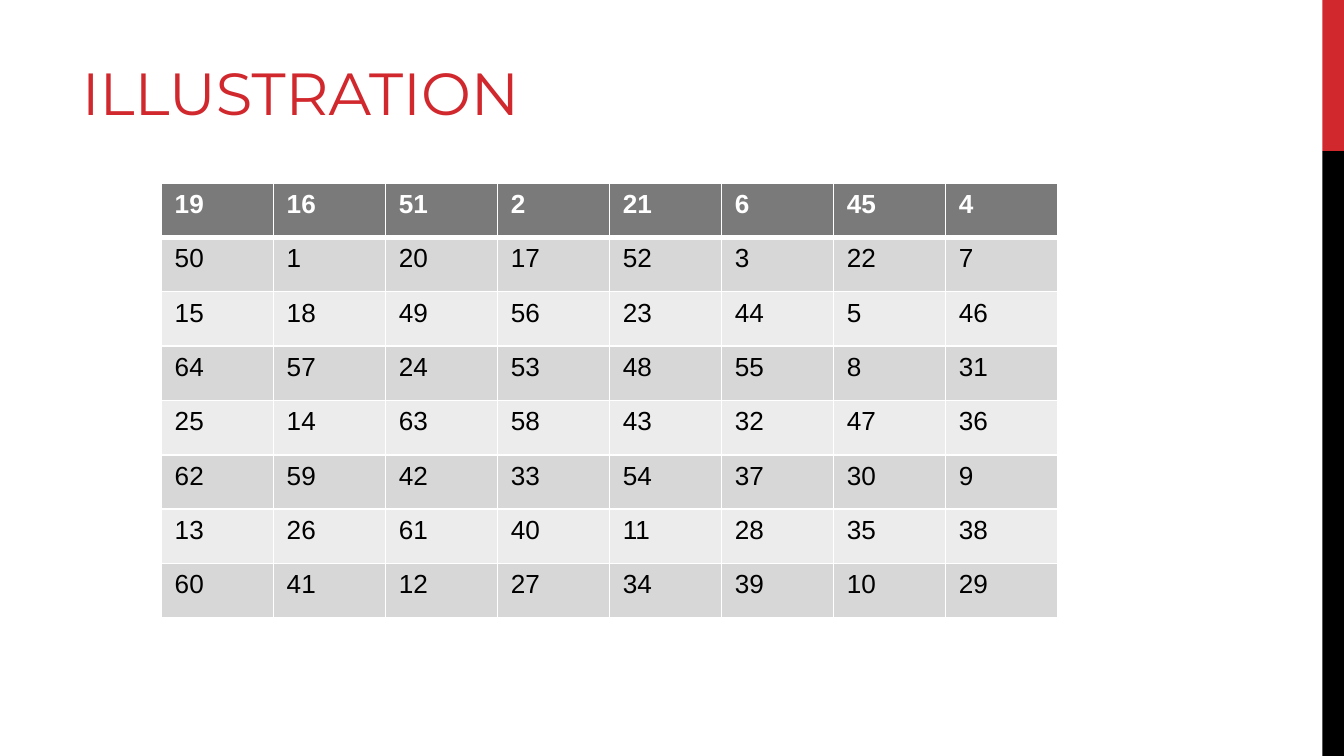
from lxml.etree import SubElement
from pptx import Presentation
from pptx.dml.color import RGBColor
from pptx.enum.shapes import MSO_SHAPE as Shape
from pptx.enum.text import MSO_ANCHOR as Anchor, PP_ALIGN as Align
from pptx.oxml.ns import qn
from pptx.util import Inches, Pt

RED = RGBColor(0xD1, 0x28, 0x2E)
BLACK = RGBColor(0, 0, 0)
WHITE = RGBColor(0xFF, 0xFF, 0xFF)
HEADER_GRAY = RGBColor(0x7A, 0x7A, 0x7A)
BAND_GRAYS = (RGBColor(0xEC, 0xEC, 0xEC), RGBColor(0xD7, 0xD7, 0xD7))

# A 16:9 slide, with the side bars split at one fifth of its height
SLIDE_WIDTH = 10
SLIDE_HEIGHT = SLIDE_WIDTH * 9 / 16
BAR_WIDTH = 0.16
BAR_SPLIT = SLIDE_HEIGHT / 5

BOARD = [
    [19, 16, 51, 2, 21, 6, 45, 4],
    [50, 1, 20, 17, 52, 3, 22, 7],
    [15, 18, 49, 56, 23, 44, 5, 46],
    [64, 57, 24, 53, 48, 55, 8, 31],
    [25, 14, 63, 58, 43, 32, 47, 36],
    [62, 59, 42, 33, 54, 37, 30, 9],
    [13, 26, 61, 40, 11, 28, 35, 38],
    [60, 41, 12, 27, 34, 39, 10, 29],
]


class SlideBuilder:
    title_font, body_font = "Montserrat", "Arial"
    title_size, body_size = Pt(31.8), Pt(14)
    thin, thick = Pt(1), Pt(3)

    def __init__(self, slide):
        self.slide = slide

    def style(self, paragraph, font, size, color, bold=False):
        paragraph.alignment = Align.LEFT
        for run in paragraph.runs:
            run.font.name, run.font.size, run.font.bold = font, size, bold
            run.font.color.rgb = color

    def bar(self, left, top, width, height, color):
        bar = self.slide.shapes.add_shape(
            Shape.RECTANGLE, *map(Inches, (left, top, width, height)))
        bar.shadow.inherit = False
        bar.fill.solid()
        bar.fill.fore_color.rgb = color
        bar.line.fill.background()

    def title(self, text, left, top, width, height):
        frame = self.slide.shapes.add_textbox(
            *map(Inches, (left, top, width, height))).text_frame
        frame.word_wrap = True
        frame.vertical_anchor = Anchor.MIDDLE
        frame.margin_left = frame.margin_right = Inches(0.1)
        frame.margin_top = frame.margin_bottom = Inches(0.1)
        frame.text = text
        self.style(frame.paragraphs[0], self.title_font, self.title_size, RED)

    def borders(self, cell, row):
        properties = cell._tc.get_or_add_tcPr()
        widths = {"L": self.thin, "R": self.thin,
                  "T": self.thick if row == 1 else self.thin,
                  "B": self.thick if row == 0 else self.thin}
        for side, width in widths.items():
            line = SubElement(properties, qn(f"a:ln{side}"), w=str(int(width)))
            fill = SubElement(line, qn("a:solidFill"))
            SubElement(fill, qn("a:srgbClr"), val=str(WHITE))

    def number_table(self, numbers, left, top, width, height):
        table = self.slide.shapes.add_table(
            len(numbers), len(numbers[0]),
            *map(Inches, (left, top, width, height))).table
        for row, values in enumerate(numbers):
            header = row == 0
            for column, value in enumerate(values):
                cell = table.cell(row, column)
                cell.text = str(value)
                self.style(cell.text_frame.paragraphs[0], self.body_font,
                           self.body_size, WHITE if header else BLACK, header)
                self.borders(cell, row)
                cell.fill.solid()
                cell.fill.fore_color.rgb = (
                    HEADER_GRAY if header else BAND_GRAYS[row % 2])


def main():
    deck = Presentation()
    deck.slide_width = Inches(SLIDE_WIDTH)
    deck.slide_height = Inches(SLIDE_HEIGHT)
    builder = SlideBuilder(deck.slides.add_slide(deck.slide_layouts[6]))

    # Bars along the right edge
    bar_left = SLIDE_WIDTH - BAR_WIDTH
    builder.bar(bar_left, 0, BAR_WIDTH, BAR_SPLIT, RED)
    builder.bar(bar_left, BAR_SPLIT, BAR_WIDTH, SLIDE_HEIGHT - BAR_SPLIT, BLACK)

    # Title and number board
    builder.title("ILLUSTRATION", 0.51, 0.31, 9.32, 0.75)
    builder.number_table(BOARD, 1.2, 1.36, 6.67, 3.24)

    deck.save("out.pptx")


if __name__ == "__main__":
    main()
